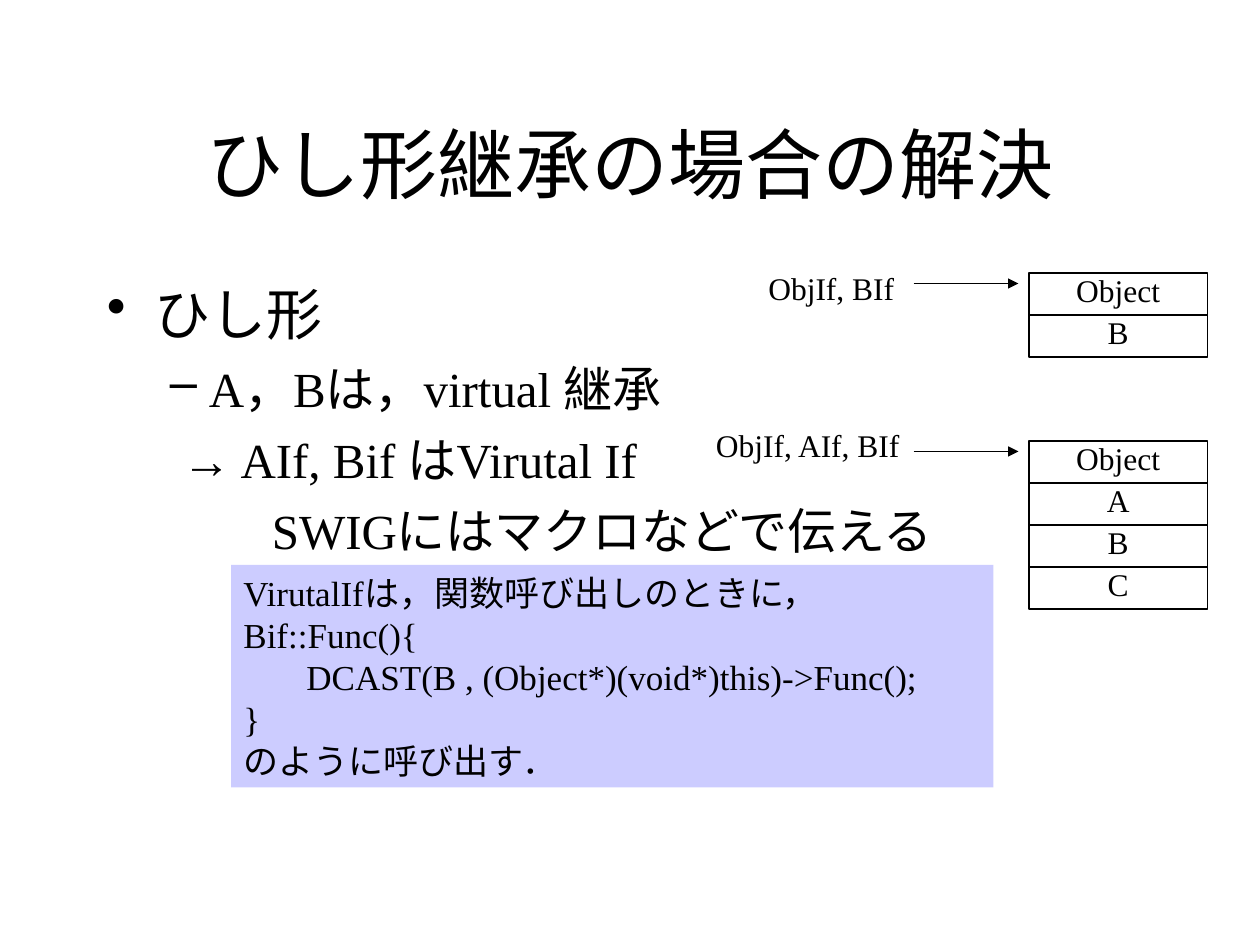
from dataclasses import dataclass

from lxml.etree import SubElement
from pptx import Presentation
from pptx.dml.color import RGBColor
from pptx.enum.shapes import MSO_CONNECTOR, MSO_SHAPE
from pptx.enum.text import MSO_ANCHOR, PP_ALIGN
from pptx.oxml.ns import qn
from pptx.util import Inches, Pt


@dataclass(frozen=True)
class Theme:
    font: str = "Times New Roman"
    ink: RGBColor = RGBColor(0, 0, 0)
    panel: RGBColor = RGBColor(0xCC, 0xCC, 0xFF)
    title: int = 44
    heading: int = 32
    body: int = 28
    code: int = 20
    label: int = 18
    line: float = 0.75


def grid(*cells):
    """Turn columns and rows of a 120 x 90 grid into lengths."""
    return [Inches(c / 12) for c in cells]


def write(tf, lines, size, align=PP_ALIGN.LEFT, anchor=MSO_ANCHOR.TOP, wrap=False):
    """Fill a text frame with one paragraph a line, in the theme's font."""
    tf.word_wrap = wrap
    tf.vertical_anchor = anchor
    tf.text = "\n".join(lines)
    for p in tf.paragraphs:
        p.alignment = align
        for r in p.runs:
            r.font.name = theme.font
            r.font.size = Pt(size)
            r.font.color.rgb = theme.ink


theme = Theme()
prs = Presentation()
prs.slide_width, prs.slide_height = grid(120, 90)
s = prs.slides.add_slide(prs.slide_layouts[5])

# Title
title = s.shapes.title
title.left, title.top, title.width, title.height = grid(9, 8, 102, 15)
write(title.text_frame, ["ひし形継承の場合の解決"], theme.title,
      PP_ALIGN.CENTER, MSO_ANCHOR.MIDDLE, True)

# Outline: text, size, space before, left margin, hanging indent, bullet
outline = [
    ("ひし形", theme.heading, 8, 0.38, -0.38, "•"),
    ("A，Bは，virtual 継承", theme.body, 7, 0.81, -0.31, "–"),
    (" → AIf, Bif はVirutal If", theme.body, 7, 0.81, -0.31, None),
    ("\t\tSWIGにはマクロなどで伝える", theme.body, 7, 0.81, -0.31, None),
]
tf = s.shapes.add_textbox(*grid(9, 26, 102, 54)).text_frame
write(tf, [row[0] for row in outline], theme.body, wrap=True)
for p, (_, size, before, margin, indent, bullet) in zip(tf.paragraphs, outline):
    p.space_before = Pt(before)
    p.runs[0].font.size = Pt(size)
    pPr = p._p.get_or_add_pPr()
    pPr.set("marL", str(Inches(margin)))
    pPr.set("indent", str(Inches(indent)))
    if bullet:
        SubElement(pPr, qn("a:buChar"), char=bullet)
    else:
        SubElement(pPr, qn("a:buNone"))
    tabs = SubElement(pPr, qn("a:tabLst"))
    for inch in range(1 if bullet else 0, 8):
        SubElement(tabs, qn("a:tab"), pos=str(Inches(inch)), algn="l")

# Object layouts: pointer label, its column, row and width, then the stacked
# cells with their first row
layouts = [
    ("ObjIf, AIf, BIf", 67, 40, 20, ["Object", "A", "B", "C"], 42),
    ("ObjIf, BIf", 72, 25, 14.4, ["Object", "B"], 26),
]
for label, col, row, width, cells, top in layouts:
    for i, name in enumerate(cells):
        sp = s.shapes.add_shape(MSO_SHAPE.RECTANGLE, *grid(98, top + 4 * i, 17, 4))
        sp.shadow.inherit = False
        sp.fill.background()
        sp.line.color.rgb = theme.ink
        sp.line.width = Pt(theme.line)
        write(sp.text_frame, [name], theme.label, PP_ALIGN.CENTER, MSO_ANCHOR.BOTTOM)

    tb = s.shapes.add_textbox(*grid(col, row, width, 4.8))
    write(tb.text_frame, [label], theme.label)

    arrow = s.shapes.add_connector(MSO_CONNECTOR.STRAIGHT,
                                   *grid(87, top + 1, 97, top + 1))
    arrow.line.color.rgb = theme.ink
    arrow.line.width = Pt(theme.line)
    SubElement(arrow.line._get_or_add_ln(), qn("a:tailEnd"), type="triangle")
    SubElement(arrow._element.spPr, qn("a:effectLst"))

# Code panel
code = [
    "VirutalIfは，関数呼び出しのときに，",
    "Bif::Func(){",
    "\tDCAST(B , (Object*)(void*)this)->Func();",
    "}",
    "のように呼び出す．",
]
panel = s.shapes.add_textbox(*grid(22, 53.8, 72.6, 21.2))
panel.fill.solid()
panel.fill.fore_color.rgb = theme.panel
write(panel.text_frame, code, theme.code)

prs.save("out.pptx")
